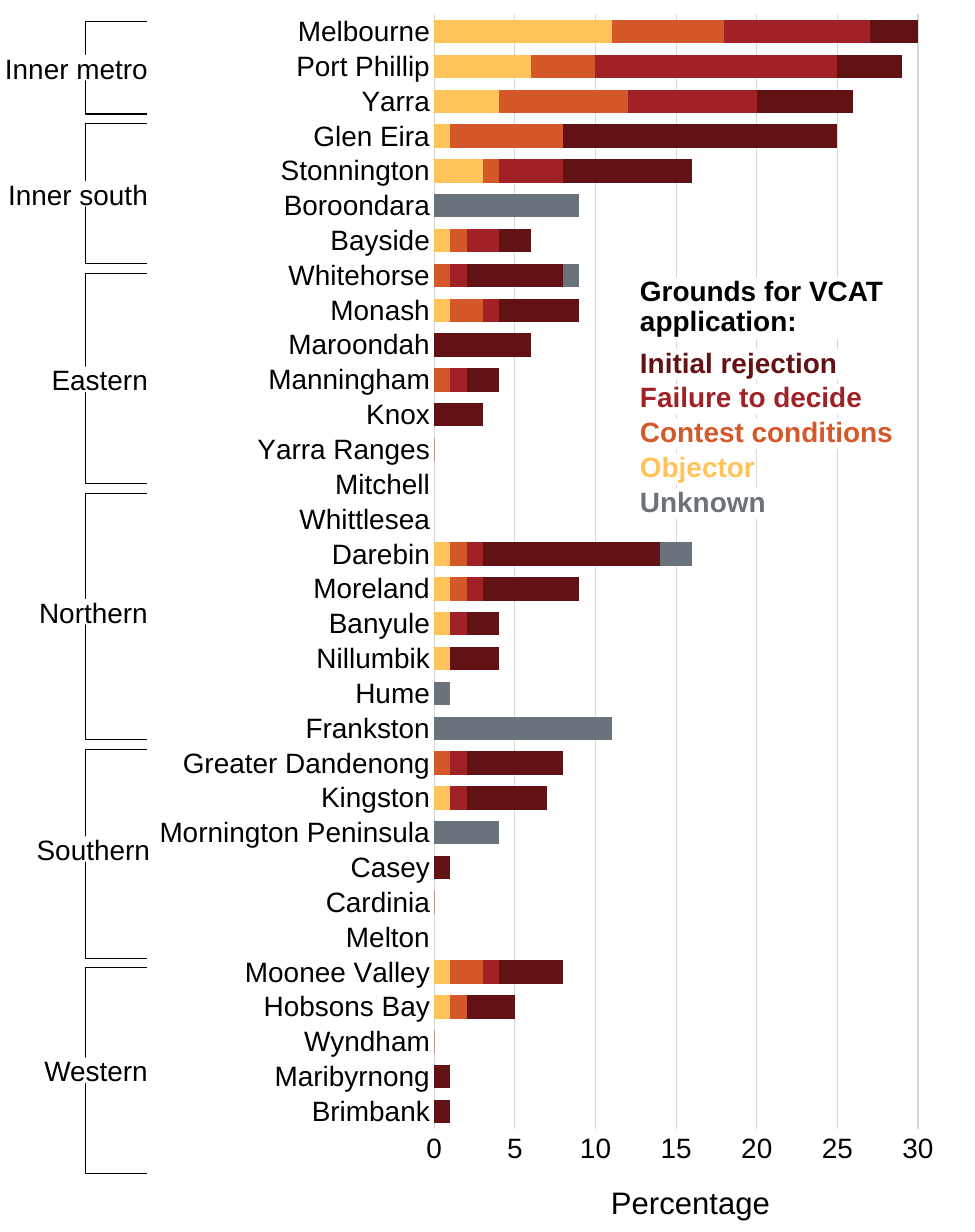
from lxml import etree
from pptx import Presentation
from pptx.chart.data import CategoryChartData
from pptx.dml.color import RGBColor
from pptx.enum.chart import XL_CHART_TYPE as ChartType, XL_TICK_MARK as TickMark
from pptx.enum.shapes import MSO_SHAPE as Shape
from pptx.enum.text import MSO_AUTO_SIZE as AutoSize, PP_ALIGN as Align
from pptx.oxml import parse_xml
from pptx.oxml.ns import nsdecls, qn
from pptx.util import Cm, Pt

FONT = "Arial"
COLORS = {
    "text": "000000",
    "paper": "FFFFFF",
    "grid": "D9D9D9",
    "Objector": "FFC35A",
    "Contest conditions": "D4582A",
    "Failure to decide": "A02226",
    "Initial rejection": "621214",
    "Unknown": "6A737B",
}
GROUNDS = ["Objector", "Contest conditions", "Failure to decide", "Initial rejection", "Unknown"]
COUNCILS = [
    ("Melbourne", 11, 7, 9, 3, 0),
    ("Port Phillip", 6, 4, 15, 4, 0),
    ("Yarra", 4, 8, 8, 6, 0),
    ("Glen Eira", 1, 7, 0, 17, 0),
    ("Stonnington", 3, 1, 4, 8, 0),
    ("Boroondara", 0, 0, 0, 0, 9),
    ("Bayside", 1, 1, 2, 2, 0),
    ("Whitehorse", 0, 1, 1, 6, 1),
    ("Monash", 1, 2, 1, 5, 0),
    ("Maroondah", 0, 0, 0, 6, 0),
    ("Manningham", 0, 1, 1, 2, 0),
    ("Knox", 0, 0, 0, 3, 0),
    ("Yarra Ranges", 0, 0, 0, 0, 0),
    ("Mitchell", None, None, None, None, None),
    ("Whittlesea", None, None, None, None, None),
    ("Darebin", 1, 1, 1, 11, 2),
    ("Moreland", 1, 1, 1, 6, 0),
    ("Banyule", 1, 0, 1, 2, 0),
    ("Nillumbik", 1, 0, 0, 3, 0),
    ("Hume", 0, 0, 0, 0, 1),
    ("Frankston", 0, 0, 0, 0, 11),
    ("Greater Dandenong", 0, 1, 1, 6, 0),
    ("Kingston", 1, 0, 1, 5, 0),
    ("Mornington Peninsula", 0, 0, 0, 0, 4),
    ("Casey", 0, 0, 0, 1, 0),
    ("Cardinia", 0, 0, 0, 0, 0),
    ("Melton", None, None, None, None, None),
    ("Moonee Valley", 1, 2, 1, 4, 0),
    ("Hobsons Bay", 1, 1, 0, 3, 0),
    ("Wyndham", 0, 0, 0, 0, 0),
    ("Maribyrnong", 0, 0, 0, 1, 0),
    ("Brimbank", 0, 0, 0, 1, 0),
]
REGIONS = [
    ("Inner metro", 2.1, 0.03, 1.25, 3.28),
    ("Inner south", 3.18, 0.03, 4.11, 3.2),
    ("Eastern", 4.78, 0.03, 8.33, 2.21),
    ("Northern", 5.59, 0.03, 13.61, 2.49),
    ("Southern", 4.75, 0.08, 19, 2.59),
    ("Western", 4.67, 0.03, 24.03, 2.39),
]
LEGEND = [
    ("Initial rejection", 4.52),
    ("Failure to decide", 5.11),
    ("Contest conditions", 5.82),
    ("Objector", 2.64),
    ("Unknown", 2.9),
]


def paint(target, name):
    target.solid()
    target.fore_color.rgb = RGBColor.from_string(COLORS[name])


def add_label(shapes, text, left, top, width, height, color="text", size=18,
              bold=False, align=Align.LEFT, wrap=False):
    box = shapes.add_textbox(Cm(left), Cm(top), Cm(width), Cm(height))
    paint(box.fill, "paper")
    frame = box.text_frame
    frame.margin_left = frame.margin_right = frame.margin_top = frame.margin_bottom = 0
    frame.word_wrap = wrap
    frame.auto_size = AutoSize.SHAPE_TO_FIT_TEXT
    frame.text = text
    para = frame.paragraphs[0]
    para.alignment = align
    para.line_spacing = 0.9
    font = para.runs[0].font
    font.name, font.size, font.bold = FONT, Pt(size), bold
    font.color.rgb = RGBColor.from_string(COLORS[color])


def add_regions(page, left, top, width, gap=0.22, label_height=0.58):
    right = left + width
    for name, height, overhang, label_top, label_width in REGIONS:
        shapes = page.shapes.add_group_shape().shapes
        bracket = shapes.add_shape(Shape.LEFT_BRACKET, Cm(left), Cm(top), Cm(width), Cm(height))
        bracket.adjustments[0] = 0
        bracket.shadow.inherit = False
        paint(bracket.fill, "paper")
        paint(bracket.line.fill, "text")
        bracket.line.width = Pt(0.75)
        add_label(shapes, name, right + overhang - label_width, label_top,
                  label_width, label_height, align=Align.RIGHT)
        top += height + gap


def set_plot_layout(chart, x, y, w, h):
    space = chart.element
    plot_area = space.find(".//" + qn("c:plotArea"))
    for layout in plot_area.findall(qn("c:layout")):
        plot_area.remove(layout)
    layout = parse_xml(f"<c:layout {nsdecls('c')}><c:manualLayout/></c:layout>")
    settings = {"layoutTarget": "inner", "xMode": "edge", "yMode": "edge",
                "x": x, "y": y, "w": w, "h": h}
    for tag, value in settings.items():
        etree.SubElement(layout[0], qn(f"c:{tag}")).set("val", str(value))
    plot_area.insert(0, layout)
    space.find(qn("c:chart")).addnext(parse_xml(
        f"<c:spPr {nsdecls('c', 'a')}><a:noFill/><a:ln><a:noFill/></a:ln></c:spPr>"))


def add_council_chart(page, left, top, width, height):
    rows = COUNCILS[::-1]
    data = CategoryChartData(number_format="General")
    data.categories = [row[0] for row in rows]
    for index, ground in enumerate(GROUNDS, start=1):
        data.add_series(ground, [row[index] for row in rows])
    chart = page.shapes.add_chart(ChartType.BAR_STACKED, Cm(left), Cm(top),
                                  Cm(width), Cm(height), data).chart
    chart.has_legend = chart.has_title = False
    chart.font.name, chart.font.size = FONT, Pt(18)
    chart.font.color.rgb = RGBColor.from_string(COLORS["text"])
    plot = chart.plots[0]
    plot.gap_width, plot.overlap, plot.vary_by_categories = 50, 100, False
    for series in plot.series:
        paint(series.format.fill, series.name)
        series.format.line.fill.background()
    councils, percent = chart.category_axis, chart.value_axis
    for axis in (councils, percent):
        axis.major_tick_mark = axis.minor_tick_mark = TickMark.NONE
    percent.minimum_scale, percent.maximum_scale, percent.major_unit = 0, 35, 5
    percent.has_major_gridlines = True
    percent.format.line.fill.background()
    for line in (councils.format.line, percent.major_gridlines.format.line):
        paint(line.fill, "grid")
        line.width = Pt(0.75)
    set_plot_layout(chart, 0.426, 0.026, 0.541, 0.924)


def add_legend(page, left, top, pitch=0.79):
    add_label(page.shapes, "Grounds for VCAT application:", left, top, 5.79, 1.4,
              bold=True, wrap=True)
    for row, (ground, width) in enumerate(LEGEND):
        add_label(page.shapes, ground, left, top + 1.63 + row * pitch, width, 0.69,
                  color=ground, bold=True)


def main():
    deck = Presentation()
    deck.slide_width, deck.slide_height = Cm(22.15), Cm(27.99)
    page = deck.slides.add_slide(deck.slide_layouts[6])
    add_regions(page, 1.94, 0.49, 1.39)
    add_label(page.shapes, "Percentage", 13.88, 26.98, 3.63, 0.76, size=20)
    add_council_chart(page, -0.23, -0.39, 23.7, 27.41)
    add_legend(page, 14.54, 6.3)
    deck.save("out.pptx")


if __name__ == "__main__":
    main()
